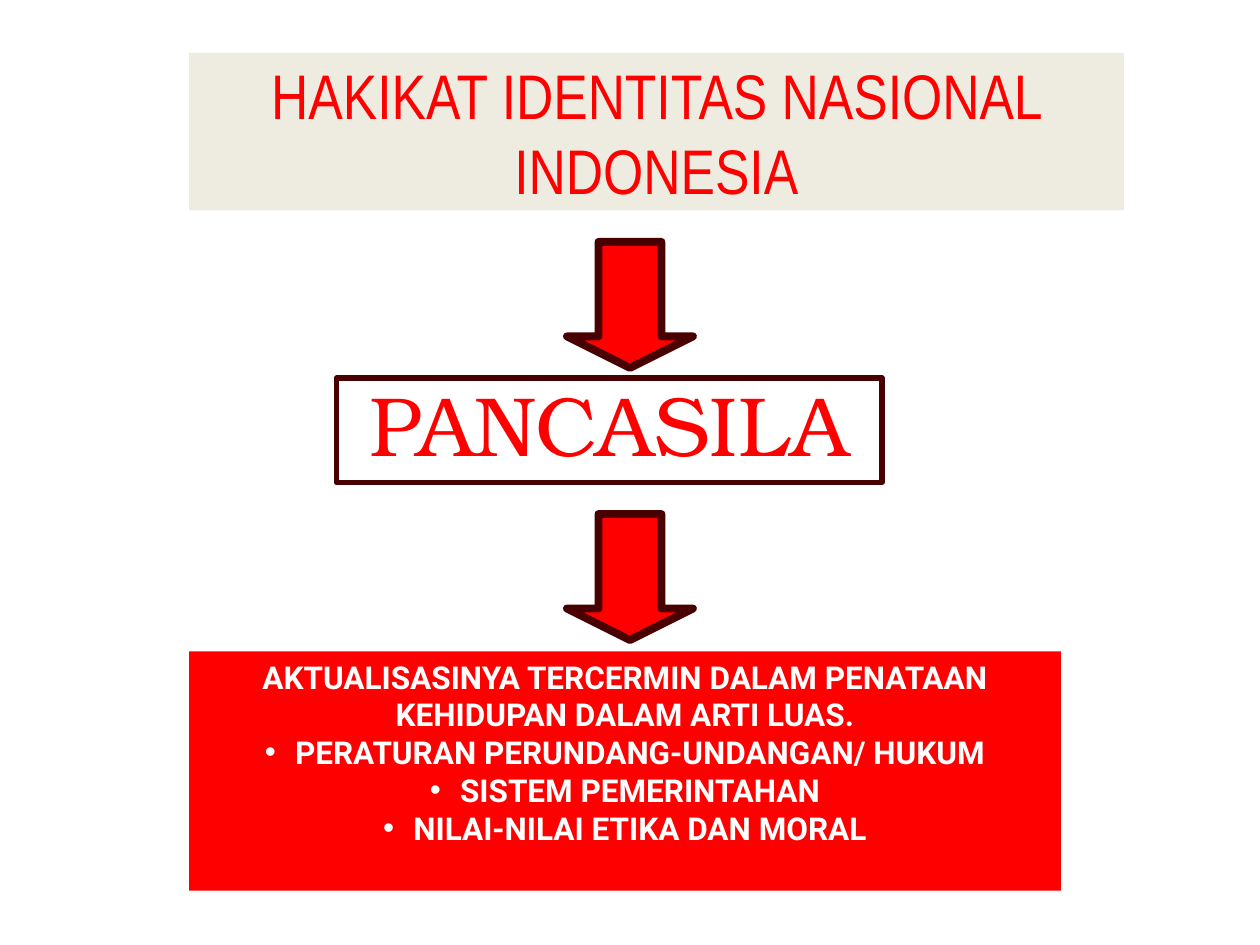
"""Build the slide on the essence of Indonesian national identity."""
from dataclasses import dataclass

import pptx
import pptx.dml.color
import pptx.enum.shapes
import pptx.enum.text
import pptx.oxml
import pptx.oxml.ns
import pptx.util
from pptx.util import Inches

RED, MAROON, WHITE, CREAM = "FF0000", "480000", "FFFFFF", "EEECE1"
SHAPE = pptx.enum.shapes.MSO_SHAPE
ANCHOR = pptx.enum.text.MSO_ANCHOR
BULLET_INDENT = Inches(0.24)


@dataclass
class Box:
    left: float
    top: float
    width: float
    height: float
    fill: str
    line: str = ""
    line_width: float = 0


@dataclass
class Style:
    font: str
    size: float
    color: str
    bold: bool = False


def rgb(value: str) -> pptx.dml.color.RGBColor:
    return pptx.dml.color.RGBColor.from_string(value)


def fill_shape(sp, color: str) -> None:
    sp.fill.solid()
    sp.fill.fore_color.rgb = rgb(color)


def add_box(s, box: Box, kind=SHAPE.RECTANGLE):
    sp = s.shapes.add_shape(kind, Inches(box.left), Inches(box.top),
                            Inches(box.width), Inches(box.height))
    sp.shadow.inherit = False
    fill_shape(sp, box.fill)
    if box.line:
        sp.line.color.rgb = rgb(box.line)
        sp.line.width = pptx.util.Pt(box.line_width)
    else:
        sp.line.fill.background()
    return sp


def add_bullet(p) -> None:
    pPr = p._p.get_or_add_pPr()
    pPr.set("marL", str(BULLET_INDENT))
    pPr.set("indent", str(-BULLET_INDENT))
    ns = pptx.oxml.ns.nsdecls("a")
    pPr.append(pptx.oxml.parse_xml(f'<a:buFont {ns} typeface="Arial"/>'))
    pPr.append(pptx.oxml.parse_xml(f'<a:buChar {ns} char="•"/>'))


def set_text(sp, text: str, style: Style, anchor) -> None:
    tf = sp.text_frame
    tf.text = text
    tf.word_wrap = True
    tf.auto_size = pptx.enum.text.MSO_AUTO_SIZE.NONE
    tf.vertical_anchor = anchor
    for p in tf.paragraphs:
        p.alignment = pptx.enum.text.PP_ALIGN.CENTER
        for r in p.runs:
            r.font.name = style.font
            r.font.size = pptx.util.Pt(style.size)
            r.font.bold = style.bold
            r.font.color.rgb = rgb(style.color)


def main() -> None:
    prs = pptx.Presentation()
    prs.slide_width, prs.slide_height = Inches(10), Inches(7.5)
    s = prs.slides.add_slide(prs.slide_layouts[5])

    title = s.shapes.title
    title.left, title.top = Inches(1.5), Inches(0.42)
    title.width, title.height = Inches(7.42), Inches(1.25)
    fill_shape(title, CREAM)
    set_text(title, "HAKIKAT IDENTITAS NASIONAL INDONESIA",
             Style("Arial Narrow", 36, RED), ANCHOR.MIDDLE)

    pancasila = add_box(s, Box(2.67, 3, 4.33, 0.83, WHITE, MAROON, 3))
    set_text(pancasila, "PANCASILA", Style("TeX Gyre Bonum", 48, RED), ANCHOR.TOP)
    pancasila.text_frame.paragraphs[0].line_spacing = 0.9

    for top in (1.92, 4.08):
        arrow = add_box(s, Box(4.5, top, 1, 1, RED, MAROON, 4.5), SHAPE.DOWN_ARROW)
        arrow.adjustments[0], arrow.adjustments[1] = 0.5, 0.25

    lines = [
        "AKTUALISASINYA TERCERMIN DALAM PENATAAN KEHIDUPAN DALAM ARTI LUAS.",
        "PERATURAN PERUNDANG-UNDANGAN/ HUKUM",
        "SISTEM PEMERINTAHAN",
        "NILAI-NILAI ETIKA DAN MORAL",
    ]
    practice = add_box(s, Box(1.5, 5.17, 6.92, 1.9, RED))
    set_text(practice, "\n".join(lines), Style("Roboto", 18, WHITE, True), ANCHOR.TOP)
    for p in practice.text_frame.paragraphs[1:]:
        add_bullet(p)

    prs.save("out.pptx")


if __name__ == "__main__":
    main()
